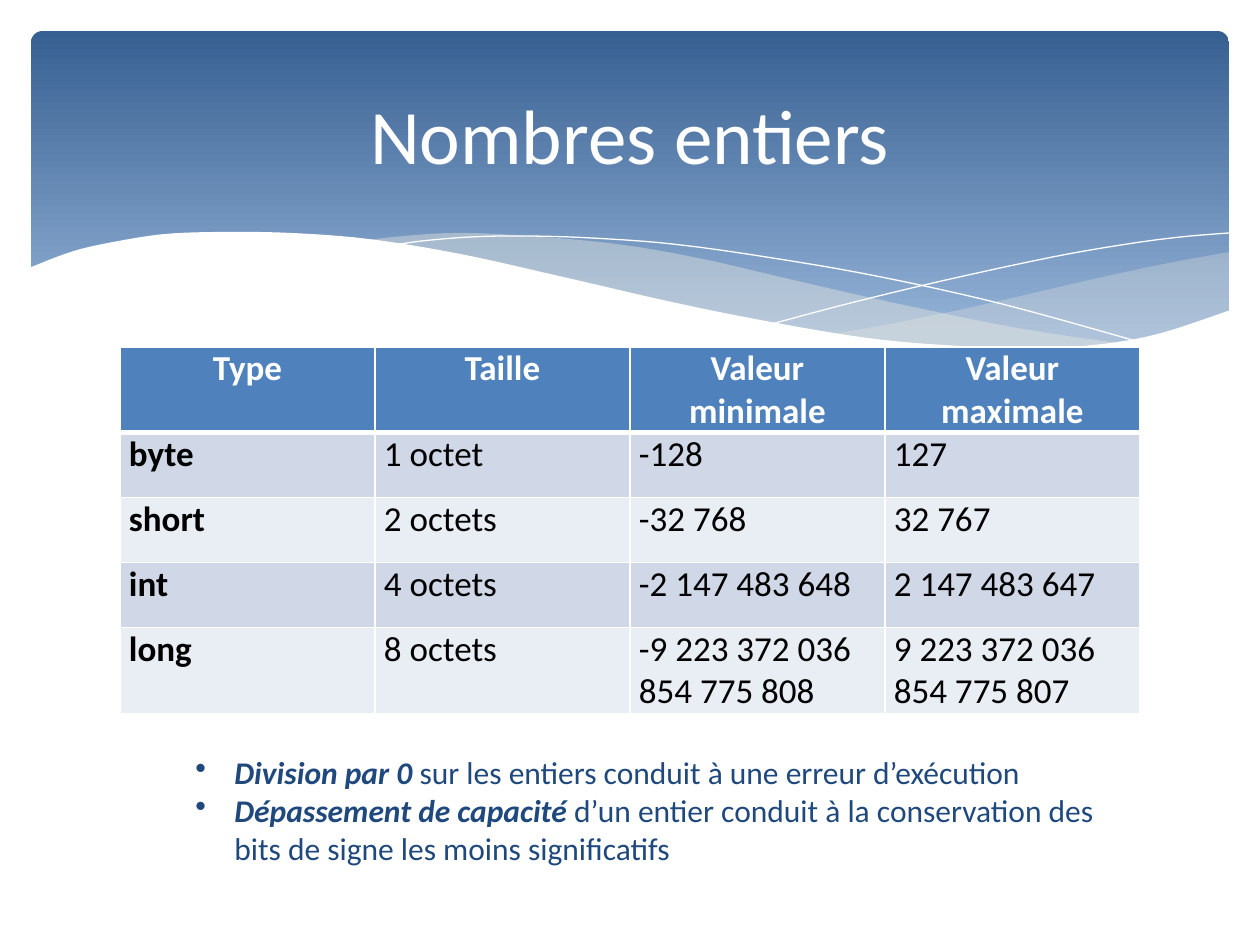
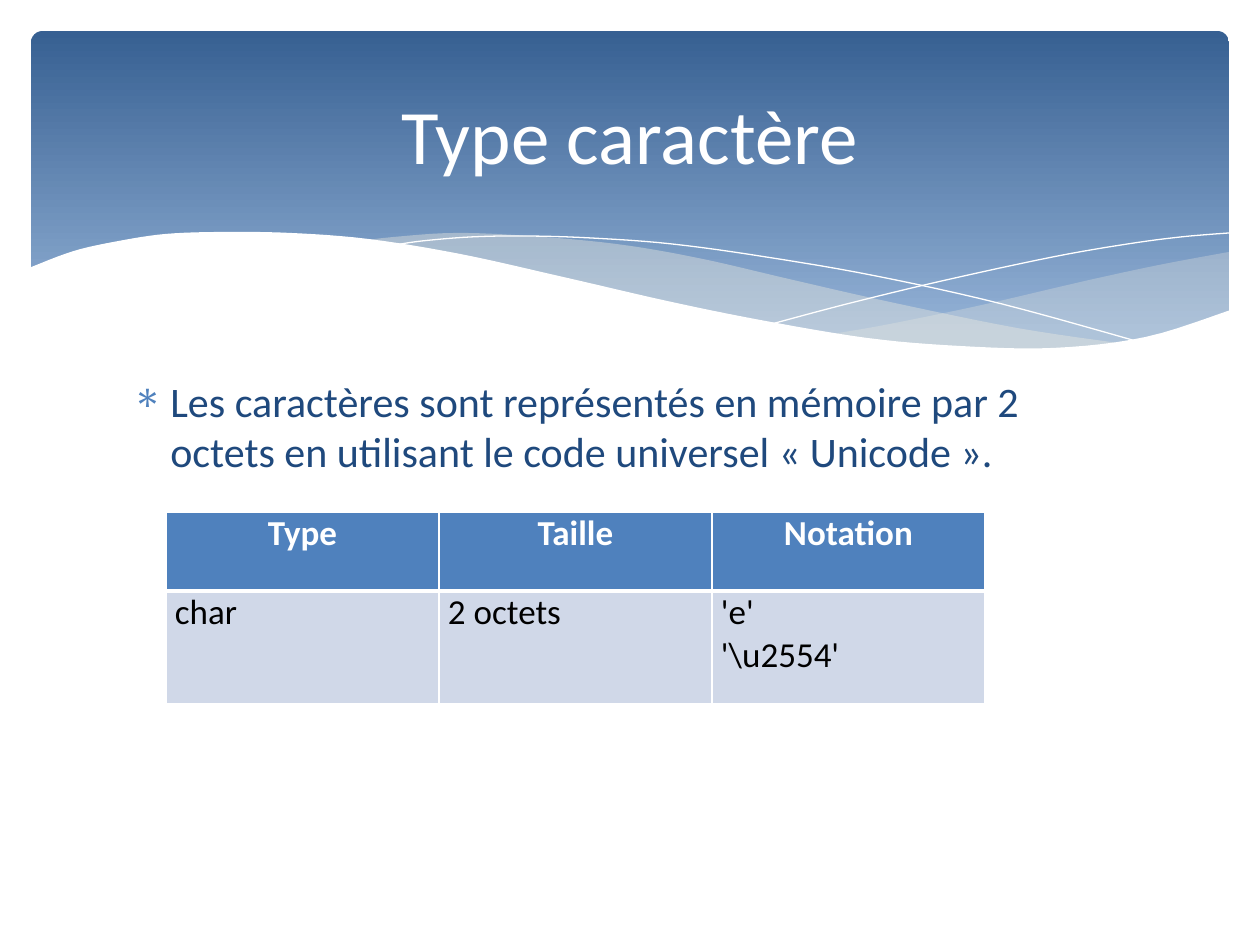
import pptx
import pptx.dml.color
import pptx.enum.shapes
import pptx.enum.text
import pptx.oxml
import pptx.oxml.ns
import pptx.util
from lxml import etree

RGB = pptx.dml.color.RGBColor
WHITE = RGB(0xFF, 0xFF, 0xFF)
BLACK = RGB(0x00, 0x00, 0x00)
DEEP_BLUE = RGB(0x37, 0x60, 0x92)
PALE_BLUE = RGB(0x95, 0xB3, 0xD7)
CREAM = RGB(0xEE, 0xEC, 0xE1)
ACCENT = RGB(0x4F, 0x81, 0xBD)
ROW_DARK = RGB(0xD0, 0xD8, 0xE8)
ROW_LIGHT = RGB(0xE9, 0xED, 0xF4)
NAVY = RGB(0x1F, 0x49, 0x7D)

PX = 914400 // 126
FONT = "Calibri"
CENTER = pptx.enum.text.PP_ALIGN.CENTER
LEFT = pptx.enum.text.PP_ALIGN.LEFT
MIDDLE = pptx.enum.text.MSO_ANCHOR.MIDDLE
qn = pptx.oxml.ns.qn


def smooth(knots, steps=6):
    """Points of a Catmull-Rom curve through the knots, in EMU."""
    ends = [knots[0]] + knots + [knots[-1]]
    points = []
    for a, b, c, d in zip(ends, ends[1:], ends[2:], ends[3:]):
        for step in range(steps):
            t = step / steps
            points.append(tuple(
                PX * (b[i] + t * (c[i] - a[i]) / 2
                      + t * t * (2 * a[i] - 5 * b[i] + 4 * c[i] - d[i]) / 2
                      + t ** 3 * (3 * b[i] - a[i] - 3 * c[i] + d[i]) / 2)
                for i in (0, 1)))
    return points + [(knots[-1][0] * PX, knots[-1][1] * PX)]


def add_grid(page, left, top, column_width, row_heights, rows, bold_first):
    """Table with a blue header, banded rows and white borders."""
    columns = len(rows[0])
    table = page.shapes.add_table(
        len(rows), columns, left * PX, top * PX,
        columns * column_width * PX, sum(row_heights) * PX).table
    for column in table.columns:
        column.width = column_width * PX
    for r, (height, texts) in enumerate(zip(row_heights, rows)):
        table.rows[r].height = height * PX
        for c, text in enumerate(texts):
            cell = table.cell(r, c)
            cell.text = text
            cell.margin_left = cell.margin_right = 9 * PX
            cell.margin_top = cell.margin_bottom = 0
            for para in cell.text_frame.paragraphs:
                para.alignment = LEFT if r else CENTER
                para.font.name = FONT
                para.font.size = pptx.util.Pt(20)
                para.font.bold = r == 0 or (bold_first and c == 0)
                para.font.color.rgb = BLACK if r else WHITE
            # Borders come before the fill in the cell properties
            props = cell._tc.get_or_add_tcPr()
            for side in ("lnL", "lnR", "lnT", "lnB"):
                heavy = (r == 0 and side == "lnB") or (r == 1 and side == "lnT")
                border = etree.SubElement(
                    props, qn("a:" + side),
                    w=str(pptx.util.Pt(3 if heavy else 1)))
                solid = etree.SubElement(border, qn("a:solidFill"))
                etree.SubElement(solid, qn("a:srgbClr"), val=str(WHITE))
            cell.fill.solid()
            cell.fill.fore_color.rgb = (
                ACCENT if r == 0 else ROW_DARK if r % 2 else ROW_LIGHT)


deck = pptx.Presentation()
deck.slide_width = 1260 * PX
deck.slide_height = 945 * PX
layout = deck.slide_layouts[5]
for holder in list(layout.placeholders):
    if holder.placeholder_format.idx >= 10:
        holder.element.getparent().remove(holder.element)

# Pages with their titles
pages = []
for heading in ("Nombres entiers", "Type caractère"):
    page = deck.slides.add_slide(layout)
    title = page.shapes.title
    title.left, title.top, title.width, title.height = (
        v * PX for v in (63, 47, 1134, 173))
    title.text_frame.text = heading
    title.text_frame.vertical_anchor = MIDDLE
    para = title.text_frame.paragraphs[0]
    para.alignment = CENTER
    para.font.name = FONT
    para.font.size = pptx.util.Pt(44)
    para.font.color.rgb = WHITE
    pages.append(page)
integers, characters = pages

# Shared header: gradient band
band = integers.shapes.add_shape(
    pptx.enum.shapes.MSO_SHAPE.ROUNDED_RECTANGLE,
    31 * PX, 31 * PX, 1198 * PX, 340 * PX)
band.adjustments[0] = 0.034
band.fill.gradient()
band.fill.gradient_angle = 270
for stop, color, position in zip(
        band.fill.gradient_stops, (DEEP_BLUE, PALE_BLUE), (0, 0.9)):
    stop.color.rgb = color
    stop.position = position
band.line.fill.background()
header = [band]

# Shared header: curves as knots in pixels
right_veil = smooth([(1229, 252), (1159, 265), (1085, 281), (982, 305),
                     (890, 324), (833, 334)])
right_veil += smooth([(833, 334), (922, 345), (1012, 350), (1099, 346),
                      (1178, 330), (1229, 311)])
middle_veil = smooth([(1125, 344), (1017, 328), (890, 302), (793, 280),
                      (698, 258), (616, 244), (529, 236), (455, 233),
                      (394, 237), (360, 241)])
middle_veil += smooth([(360, 241), (431, 251), (509, 266), (566, 280),
                       (668, 302), (757, 321), (838, 335), (924, 345),
                       (1003, 350), (1080, 349), (1125, 344)])
falling_line = smooth([(389, 246), (422, 241), (471, 237), (524, 236),
                       (591, 238), (672, 244), (766, 257), (876, 276),
                       (1002, 304), (1143, 343)])
rising_line = smooth([(772, 324), (847, 304), (942, 281), (1053, 257),
                      (1128, 244), (1181, 237), (1229, 233)])
white_wave = smooth([(1231, 310), (1146, 337), (1054, 348), (959, 346),
                     (867, 338), (760, 320), (667, 301), (563, 277),
                     (460, 254), (368, 239), (290, 233), (223, 232),
                     (166, 234), (119, 241), (74, 251), (29, 268)])
white_wave += [(29 * PX, 415 * PX), (1231 * PX, 415 * PX)]

# Fill and opacity in percent; the thin lines have no fill
for points, fill, opacity in (
        (right_veil, CREAM, 29), (middle_veil, CREAM, 40),
        (falling_line, None, 100), (rising_line, None, 100),
        (white_wave, WHITE, 100)):
    builder = integers.shapes.build_freeform(*points[0])
    builder.add_line_segments(points[1:], close=fill is not None)
    curve = builder.convert_to_shape()
    if fill is None:
        curve.fill.background()
        curve.line.color.rgb = WHITE
        curve.line.width = 0
    else:
        curve.fill.solid()
        curve.fill.fore_color.rgb = fill
        curve.line.fill.background()
    if opacity < 100:
        color = curve.element.spPr.find(qn("a:solidFill"))[0]
        etree.SubElement(color, qn("a:alpha"), val=str(opacity * 1000))
    header.append(curve)

# The header belongs to the layout, behind its placeholders
for place, shape in enumerate(header, start=2):
    shape.shadow.inherit = False
    layout.shapes.element.insert(place, shape.element)

# Tables
add_grid(integers, 120, 347, 255, [85, 65, 65, 65, 85], [
    ["Type", "Taille", "Valeur minimale", "Valeur maximale"],
    ["byte", "1 octet", "-128", "127"],
    ["short", "2 octets", "-32 768", "32 767"],
    ["int", "4 octets", "-2 147 483 648", "2 147 483 647"],
    ["long", "8 octets", "-9 223 372 036 854 775 808",
     "9 223 372 036 854 775 807"],
], bold_first=True)
add_grid(characters, 166, 512, 273, [79, 113], [
    ["Type", "Taille", "Notation"],
    ["char", "2 octets", "'e'\n'\\u2554'"],
], bold_first=False)

# Bulleted text: each paragraph is an emphasised part and a plain part
for page, at, size, before, bullet, bullet_color, margin, hang, lines in (
        (integers, (120, 747, 994, 127), 18, 0, "•", NAVY, 102, 39, [
            ("Division par 0",
             " sur les entiers conduit à une erreur d’exécution"),
            ("Dépassement de capacité",
             " d’un entier conduit à la conservation des bits de signe"
             " les moins significatifs")]),
        (characters, (120, 369, 1021, 475), 24, 4.8, "∗", ACCENT, 38, 38, [
            ("", "Les caractères sont représentés en mémoire par 2 octets en"
                 " utilisant le code universel «\u00a0Unicode\u00a0».")])):
    box = page.shapes.add_textbox(*(v * PX for v in at))
    frame = box.text_frame
    frame.word_wrap = True
    for number, (strong, plain) in enumerate(lines):
        para = frame.add_paragraph() if number else frame.paragraphs[0]
        para.font.name = FONT
        para.font.size = pptx.util.Pt(size)
        para.font.color.rgb = NAVY
        para.space_before = pptx.util.Pt(before)
        if strong:
            span = para.add_run()
            span.text = strong
            span.font.bold = span.font.italic = True
        para.add_run().text = plain
        props = para._p.get_or_add_pPr()
        props.set("marL", str(margin * PX))
        props.set("indent", str(-hang * PX))
        tint = etree.Element(qn("a:buClr"))
        etree.SubElement(tint, qn("a:srgbClr"), val=str(bullet_color))
        mark = etree.Element(qn("a:buChar"), char=bullet)
        spacing = props.find(qn("a:spcBef"))
        spacing.addnext(tint)
        tint.addnext(mark)

deck.save("out.pptx")
